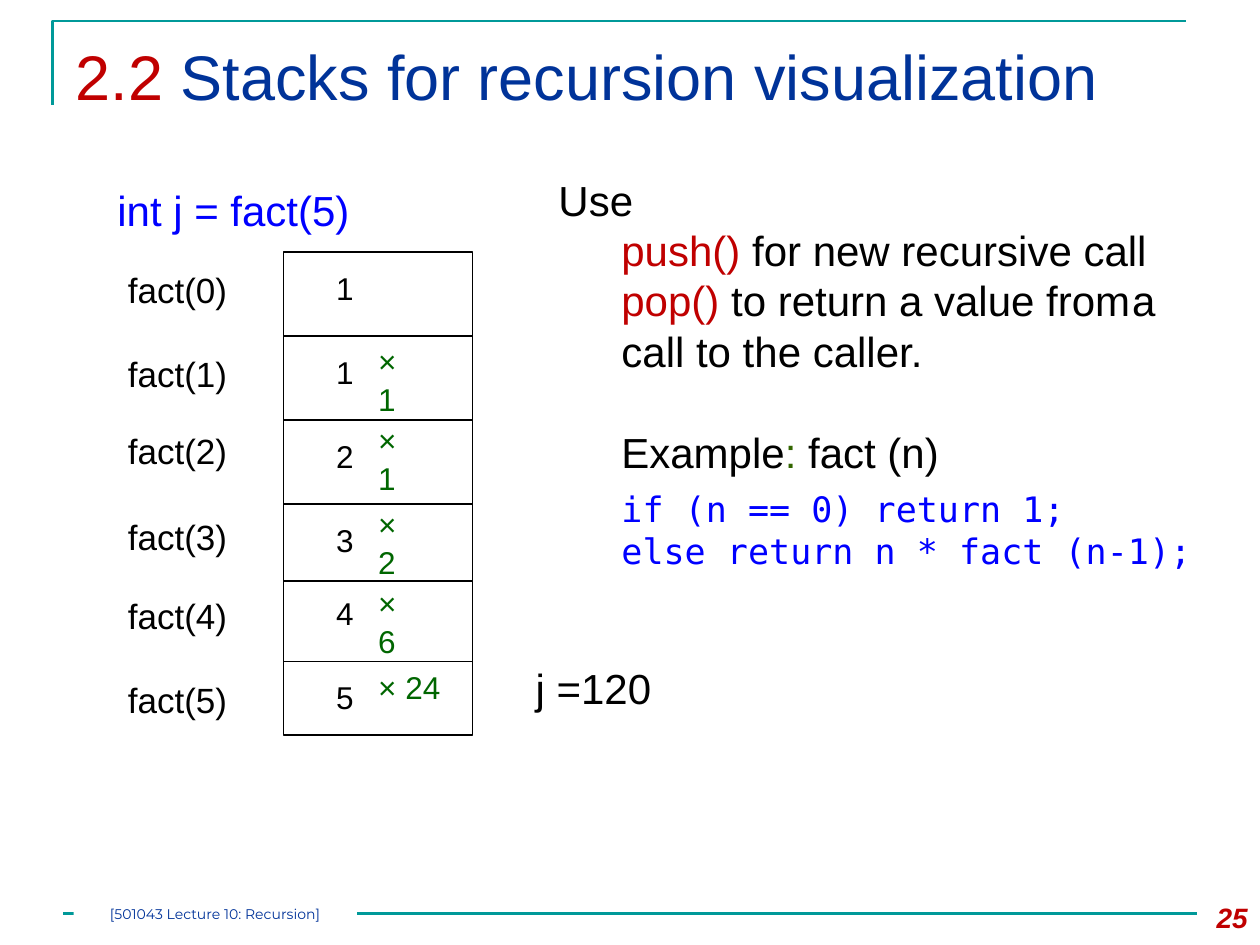
import pptx
import pptx.util
import pptx.dml.color
import pptx.enum.shapes
import pptx.enum.text
import pptx.oxml

Pt = pptx.util.Pt
RGB = pptx.dml.color.RGBColor.from_string
ALIGN = pptx.enum.text.PP_ALIGN
ANCHOR = pptx.enum.text.MSO_ANCHOR

THEME = {
    "colors": {"teal": "009999", "red": "C00000", "navy": "003399", "black": "000000",
               "blue": "0000FF", "green": "006600", "olive": "336600", "white": "FFFFFF"},
    "styles": {
        "title": {"name": "Arial", "size": Pt(36)},
        "body": {"name": "Arial", "size": Pt(24)},
        "call": {"name": "Arial", "size": Pt(20)},
        "code": {"name": "DejaVu Sans Mono", "size": Pt(20)},
        "value": {"name": "Arial", "size": Pt(18)},
        "page": {"name": "Arial", "size": Pt(16), "bold": True, "italic": True},
        "footer": {"name": "Montserrat", "size": Pt(8)},
    },
    "line_height": 1.2,
    "rule": 1.5,
    "border": 0.75,
}

TITLE = [("title", [("2.2 ", "red"), ("Stacks for recursion visualization", "navy")], {})]
STATEMENT = "int j = fact(5)"
RESULT = "j =120"
PAGE = "25"
FOOTER = "[501043 Lecture 10: Recursion]"

INDENT = 36
EXPLANATION = [
    ("body", [("Use", "black")], {}),
    ("body", [("push() ", "red"), ("for new recursive call", "black")], {}),
    ("body", [("pop() ", "red"), ("to return a value from \ta call to the caller.", "black")], {}),
    ("body", [("Example", "black"), (": ", "olive"), ("fact (n)", "black")],
     {"space_before": Pt(28.8), "space_after": Pt(6)}),
    ("code", [("if (n == 0) return 1;", "blue")], {}),
    ("code", [("else return n * fact (n-1);", "blue")], {}),
]

STACK_LEFT, STACK_TOP, STACK_WIDTH, STACK_HEIGHT = 162, 144, 108, 276
DIVIDERS = [192, 240, 288, 332, 378]
FRAMES = [
    {"call": ("fact(0)", 150), "value": ("1", 150)},
    {"call": ("fact(1)", 198), "value": ("1", 198), "factor": ("× 1", 192)},
    {"call": ("fact(2)", 242), "value": ("2", 246), "factor": ("× 1", 237)},
    {"call": ("fact(3)", 291), "value": ("3", 294), "factor": ("× 2", 285)},
    {"call": ("fact(4)", 336), "value": ("4", 336), "factor": ("× 6", 330)},
    {"call": ("fact(5)", 384), "value": ("5", 384), "factor": ("× 24", 378)},
]
FRAME_COLUMNS = {
    "call": (66, 102, "call", "black"),
    "value": (185, 28, "value", "black"),
    "factor": (209, 39.6, "value", "green"),
}
WIDE_FACTOR = 54


def color(name):
    return RGB(THEME["colors"][name])


def apply(target, values):
    for name, value in values.items():
        setattr(target, name, value)


def write(frame, paragraphs, **frame_format):
    apply(frame, {"word_wrap": True, "vertical_anchor": ANCHOR.TOP,
                  "auto_size": pptx.enum.text.MSO_AUTO_SIZE.NONE, **frame_format})
    for index, (style, runs, paragraph_format) in enumerate(paragraphs):
        paragraph = frame.add_paragraph() if index else frame.paragraphs[0]
        font_format = THEME["styles"][style]
        line = Pt(font_format["size"].pt * THEME["line_height"])
        apply(paragraph, {"alignment": ALIGN.LEFT, "line_spacing": line, **paragraph_format})
        for words, tint in runs:
            run = paragraph.add_run()
            run.text = words
            apply(run.font, font_format)
            run.font.color.rgb = color(tint)


def add_text(shapes, left, top, width, height, paragraphs):
    box = shapes.add_textbox(Pt(left), Pt(top), Pt(width), Pt(height))
    write(box.text_frame, paragraphs)
    return box


def add_rule(shapes, left, right, y, tint, weight):
    rule = shapes.add_connector(pptx.enum.shapes.MSO_CONNECTOR.STRAIGHT,
                                Pt(left), Pt(y), Pt(right), Pt(y))
    rule.line.color.rgb = color(tint)
    rule.line.width = Pt(weight)
    rule._element.spPr.append(pptx.oxml.parse_xml(
        '<a:effectLst xmlns:a="http://schemas.openxmlformats.org/drawingml/2006/main"/>'))


def add_rectangle(shapes, left, top, width, height):
    rectangle = shapes.add_shape(pptx.enum.shapes.MSO_SHAPE.RECTANGLE,
                                 Pt(left), Pt(top), Pt(width), Pt(height))
    rectangle.shadow.inherit = False
    return rectangle


def add_decoration(shapes):
    builder = shapes.build_freeform(Pt(30), Pt(60))
    builder.add_line_segments([(Pt(30), Pt(12)), (Pt(678), Pt(12))], close=False)
    corner = builder.convert_to_shape()
    corner.shadow.inherit = False
    corner.fill.background()
    corner.line.color.rgb = color("teal")
    corner.line.width = Pt(THEME["rule"])
    add_rule(shapes, 36, 684, 522, "teal", THEME["rule"])
    footer = add_rectangle(shapes, 42, 516, 162, 12)
    footer.fill.solid()
    footer.fill.fore_color.rgb = color("white")
    footer.line.fill.background()
    margins = {f"margin_{side}": 0 for side in ("left", "top", "right", "bottom")}
    write(footer.text_frame, [("footer", [(FOOTER, "navy")], {"alignment": ALIGN.CENTER})],
          vertical_anchor=ANCHOR.MIDDLE, **margins)
    add_text(shapes, 672, 511, 48, 29, [("page", [(PAGE, "red")], {"alignment": ALIGN.RIGHT})])


def add_stack(shapes):
    stack = shapes.add_group_shape().shapes
    outline = add_rectangle(stack, STACK_LEFT, STACK_TOP, STACK_WIDTH, STACK_HEIGHT)
    outline.fill.background()
    outline.line.color.rgb = color("black")
    outline.line.width = Pt(THEME["border"])
    for y in DIVIDERS:
        add_rule(stack, STACK_LEFT, STACK_LEFT + STACK_WIDTH, y, "black", THEME["border"])
    for frame in FRAMES:
        for part, (words, top) in frame.items():
            left, width, style, tint = FRAME_COLUMNS[part]
            if part == "factor" and len(words) > 3:
                width = WIDE_FACTOR
            add_text(shapes, left, top, width, 32, [(style, [(words, tint)], {})])


def main():
    deck = pptx.Presentation()
    deck.slide_width, deck.slide_height = Pt(720), Pt(540)
    slide = deck.slides.add_slide(deck.slide_layouts[5])
    shapes = slide.shapes
    title = shapes.title
    apply(title, {"left": Pt(36), "top": Pt(18), "width": Pt(648), "height": Pt(62)})
    write(title.text_frame, TITLE)
    add_decoration(shapes)
    add_text(shapes, 60, 102, 216, 36, [("body", [(STATEMENT, "blue")], {})])
    add_stack(shapes)
    add_text(shapes, 299, 375, 82, 36, [("body", [(RESULT, "black")], {})])
    explanation = add_text(shapes, 312, 96, 378, 258, EXPLANATION)
    for paragraph in explanation.text_frame.paragraphs[1:]:
        properties = paragraph._p.get_or_add_pPr()
        properties.set("marL", str(Pt(INDENT)))
        properties.set("indent", "0")
    deck.save("out.pptx")


if __name__ == "__main__":
    main()
